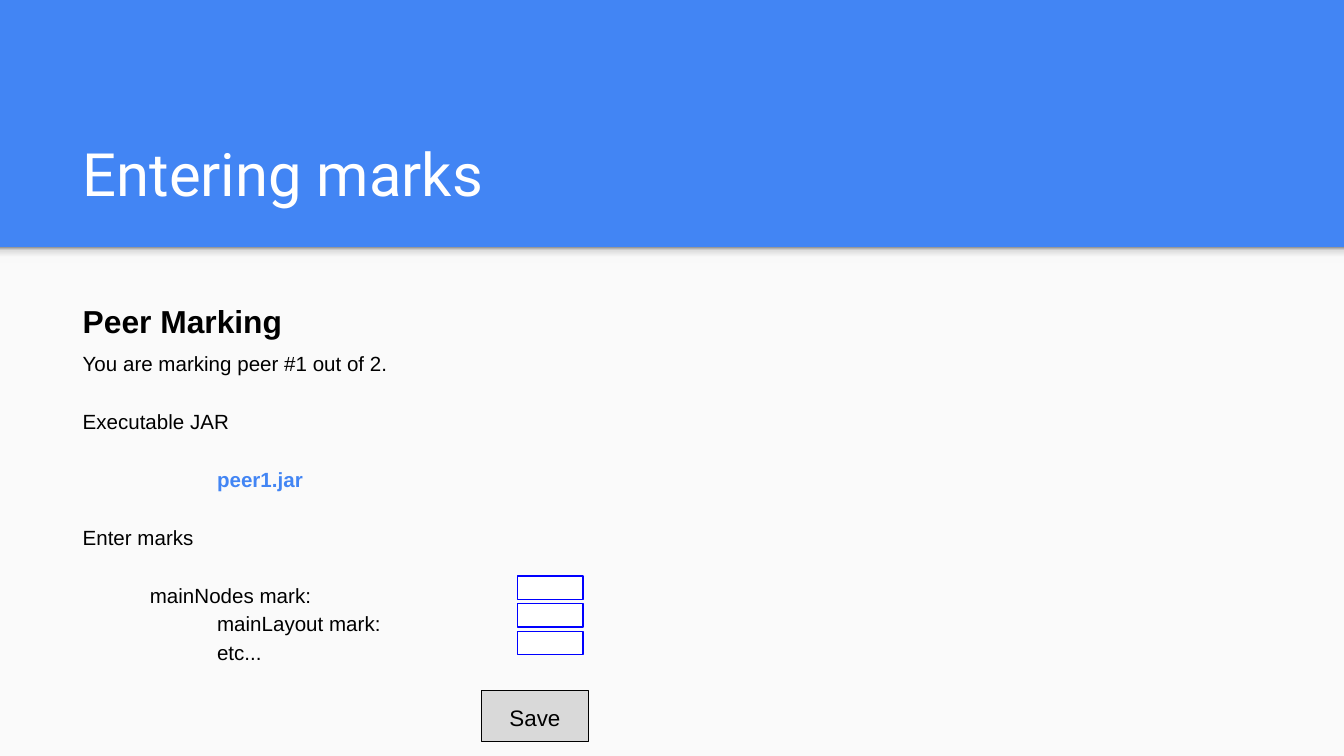
from lxml.etree import SubElement
from pptx import Presentation
from pptx.dml.color import RGBColor as RGB
from pptx.enum.shapes import MSO_SHAPE as SHAPE
from pptx.enum.text import MSO_ANCHOR as ANCHOR, PP_ALIGN as ALIGN
from pptx.oxml.ns import qn
from pptx.util import Pt

HEX = {"blue": "4285F4", "paper": "FAFAFA", "white": "FFFFFF", "black": "000000",
       "field": "0000FF", "button": "D9D9D9"}
SHADE = [(0, "F9F9F9"), (36, "F9F9F9"), (80, "DEDEDE"), (100, "999999")]

# Content: text and format of each paragraph
TITLE = [("Entering marks", dict(size=32, font="Roboto", color="white"))]
BODY = [
    ("Peer Marking", dict(size=17, bold=True, lines=1.15)),
    ("You are marking peer #1 out of 2.", dict(before=4, lines=1.15)),
    ("Executable JAR", dict(before=16, lines=1.15)),
    ("peer1.jar", dict(before=16, lines=1.15, indent=72, bold=True, color="blue")),
    ("Enter marks", dict(before=16, lines=1.15)),
    ("mainNodes mark:", dict(before=16, lines=1.15, indent=36)),
    ("mainLayout mark:", dict(lines=1.15, indent=72)),
    ("etc...", dict(lines=1.15, indent=72)),
]
SAVE = [("Save", dict(size=12, align=ALIGN.CENTER))]
FIELDS = 3


def tint(name):
    return RGB.from_string(HEX[name])


def add_par(par, text, size=11, font="Arial", color="black", bold=False,
            before=0, lines=1, indent=0, align=ALIGN.LEFT):
    if indent:
        par._p.get_or_add_pPr().set("marL", str(Pt(indent)))
    par.alignment = align
    par.line_spacing = lines
    par.space_before = Pt(before)
    run = par.add_run()
    run.text = text
    run.font.size, run.font.name, run.font.bold = Pt(size), font, bold
    run.font.color.rgb = tint(color)


def fill_text(shape, pars, anchor=ANCHOR.TOP):
    frame = shape.text_frame
    frame.word_wrap = True
    frame.vertical_anchor = anchor
    frame.margin_left = frame.margin_right = Pt(7.2)
    frame.margin_top = frame.margin_bottom = Pt(7.2)
    for i, (text, form) in enumerate(pars):
        par = frame.add_paragraph() if i else frame.paragraphs[0]
        add_par(par, text, **form)


def add_box(x, y, w, h, fill, line=None):
    box = slide.shapes.add_shape(SHAPE.RECTANGLE, Pt(x), Pt(y), Pt(w), Pt(h))
    box.shadow.inherit = False
    box.fill.solid()
    box.fill.fore_color.rgb = tint(fill)
    if line:
        box.line.color.rgb = tint(line)
        box.line.width = Pt(0.75)
    else:
        box.line.fill.background()
    return box


deck = Presentation()
deck.slide_width, deck.slide_height = Pt(720), Pt(405)
slide = deck.slides.add_slide(deck.slide_layouts[6])
slide.background.fill.solid()
slide.background.fill.fore_color.rgb = tint("blue")

# Paper panel and the shade along its top edge
add_box(0, 132.5, 720, 272.5, "paper")
edge = add_box(0, 132.5, 720, 8.6, "paper")
edge.fill.gradient()
edge.fill.gradient_angle = 90
stops = edge._element.spPr.find(qn("a:gradFill")).find(qn("a:gsLst"))
for stop in list(stops):
    stops.remove(stop)
for pos, color in SHADE:
    stop = SubElement(stops, qn("a:gs"), pos=str(pos * 1000))
    SubElement(stop, qn("a:srgbClr"), val=color)

# Title and body text
for y, h, pars, anchor in [(58.3, 60.5, TITLE, ANCHOR.BOTTOM),
                           (151.2, 213, BODY, ANCHOR.TOP)]:
    area = slide.shapes.add_textbox(Pt(37.2), Pt(y), Pt(647.3), Pt(h))
    fill_text(area, pars, anchor)

# Mark fields and save button
for i in range(FIELDS):
    add_box(277.3, 308.6 + 14.8 * i, 35.1, 12.5, "white", "field")
fill_text(add_box(257.9, 369.9, 57.4, 27.3, "button", "black"), SAVE)

deck.save("out.pptx")
